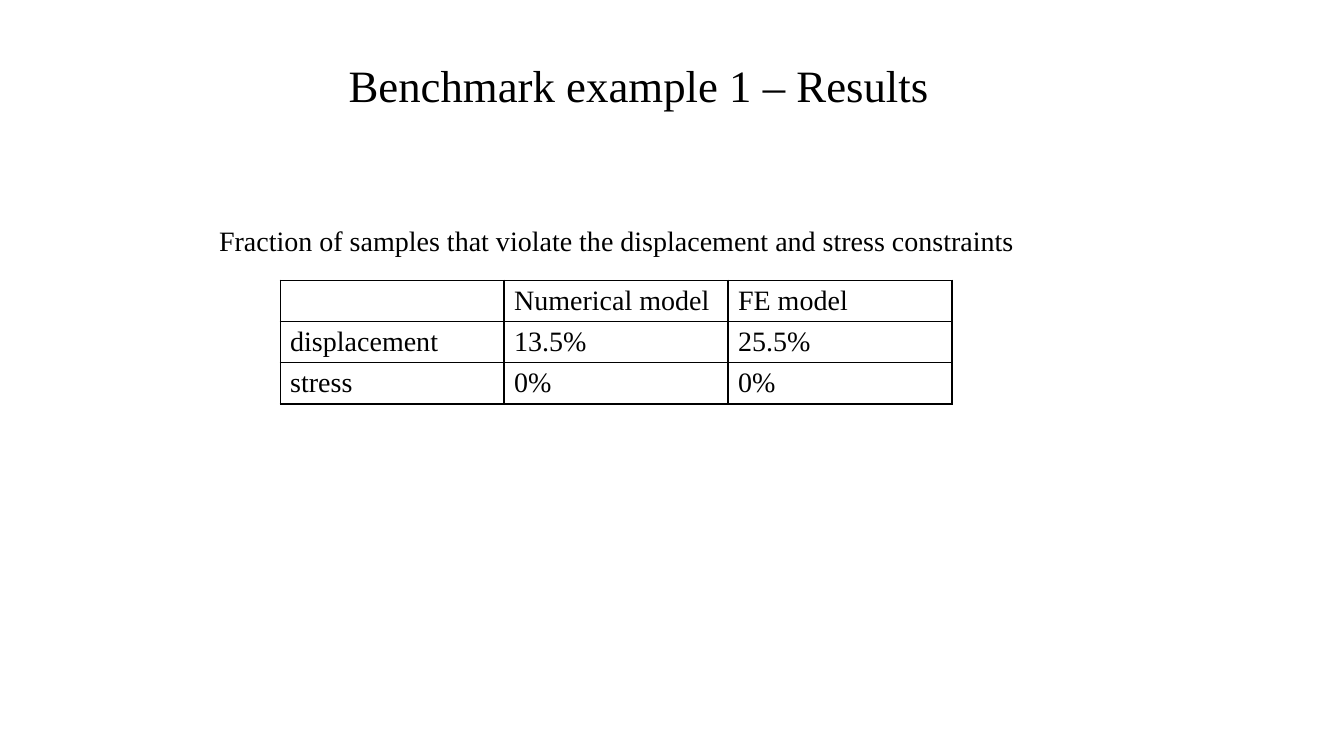
from lxml.etree import SubElement
from pptx import Presentation
from pptx.dml.color import RGBColor
from pptx.enum.text import MSO_ANCHOR as Anchor, PP_ALIGN as Align
from pptx.oxml.ns import qn
from pptx.util import Cm, Pt


def write(paragraph, text, size, color="000000"):
    paragraph.text = text
    paragraph.alignment = Align.LEFT
    paragraph.font.name = "Times New Roman"
    paragraph.font.size = Pt(size)
    paragraph.font.bold = False
    paragraph.font.color.rgb = RGBColor.from_string(color)


def add_borders(cell, color="000000", width=0.96):
    properties = cell._tc.get_or_add_tcPr()
    for side in ("lnL", "lnR", "lnT", "lnB"):
        line = SubElement(properties, qn(f"a:{side}"), w=str(Pt(width)))
        fill = SubElement(line, qn("a:solidFill"))
        SubElement(fill, qn("a:srgbClr"), val=color)


deck = Presentation()
deck.slide_width, deck.slide_height = Cm(33.87), Cm(19.05)
page = deck.slides.add_slide(deck.slide_layouts[5])

title = page.shapes.title
title.left, title.top, title.width, title.height = Cm(2.33), Cm(1.01), Cm(29.21), Cm(3.68)
title.text_frame.vertical_anchor = Anchor.TOP
title.text_frame.margin_top = Cm(0.6)
heading = title.text_frame.paragraphs[0]
write(heading, "Benchmark example 1 – Results", 32)
heading.line_spacing = 0.9
heading._p.get_or_add_pPr().set("marL", str(Cm(6.2)))

rows = [
    ("", "Numerical model", "FE model"),
    ("displacement", "13.5%", "25.5%"),
    ("stress", "0%", "0%"),
]
table = page.shapes.add_table(
    len(rows), len(rows[0]), Cm(7.06), Cm(7.06), Cm(16.93), Cm(3.12)
).table
table.first_row = False
table.horz_banding = False
for row, values in zip(table.rows, rows):
    row.height = Cm(1.04)
    for cell, value in zip(row.cells, values):
        write(cell.text_frame.paragraphs[0], value, 20)
        add_borders(cell)
        cell.fill.background()

caption = page.shapes.add_textbox(Cm(5.27), Cm(5.51), Cm(20.57), Cm(1.1))
caption.text_frame.word_wrap = False
write(
    caption.text_frame.paragraphs[0],
    "Fraction of samples that violate the displacement and stress constraints",
    20,
)

deck.save("out.pptx")
